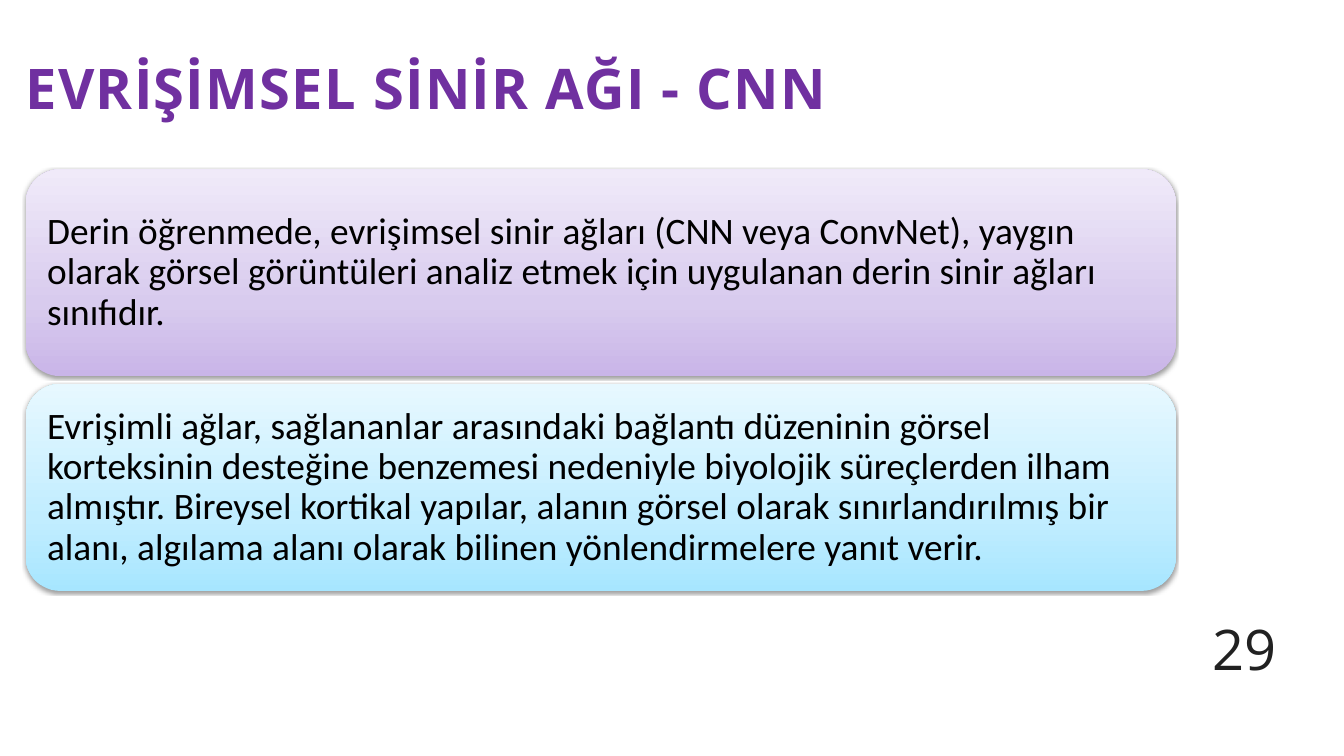
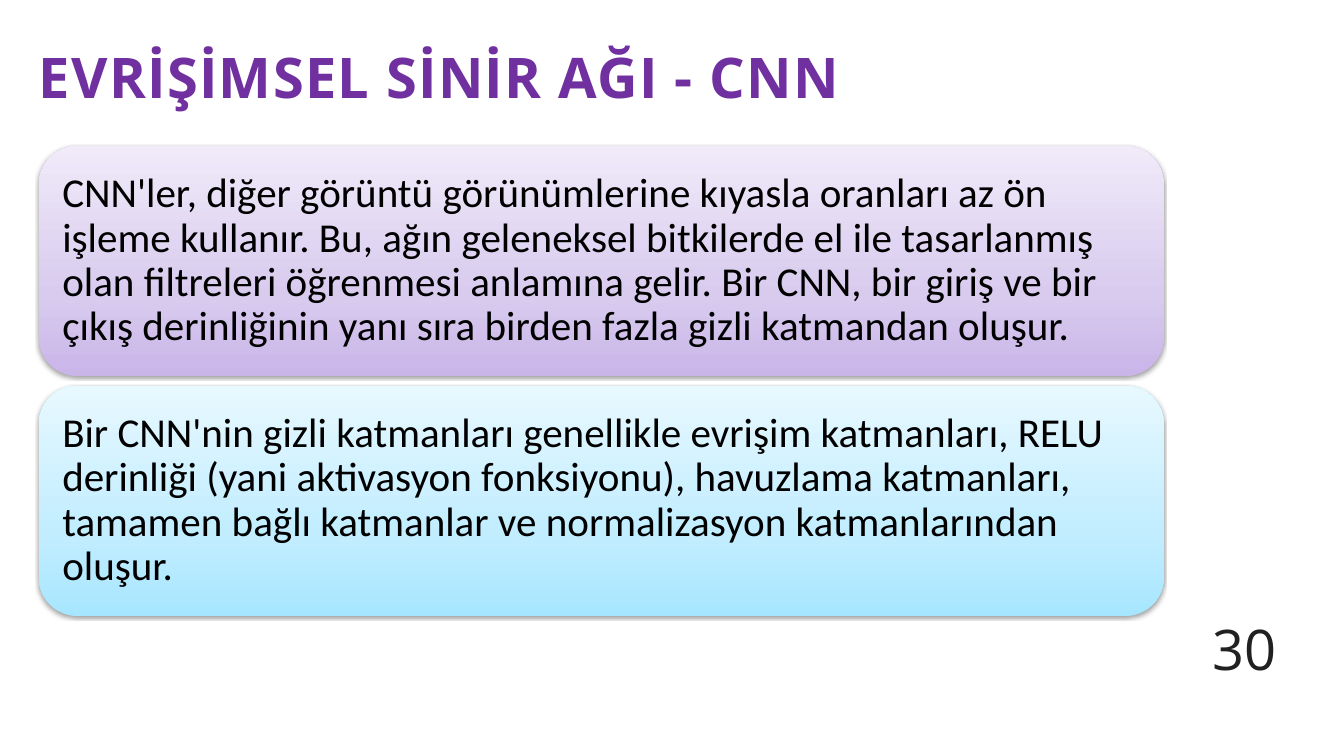
from copy import deepcopy

from lxml import etree
from pptx import Presentation
from pptx.dml.color import RGBColor
from pptx.enum.shapes import MSO_SHAPE
from pptx.enum.text import MSO_ANCHOR, MSO_AUTO_SIZE, PP_ALIGN
from pptx.oxml.ns import qn
from pptx.util import Cm, Pt

ROUND = MSO_SHAPE.ROUNDED_RECTANGLE
TOP, MIDDLE = MSO_ANCHOR.TOP, MSO_ANCHOR.MIDDLE
LEFT = PP_ALIGN.LEFT
FIXED = MSO_AUTO_SIZE.NONE

COLORS = {
    "title": "7030A0",
    "number": "212121",
    "text": "000000",
    "shadow": "000000",
}
FADES = [
    ["C9B5E8", "D8CBEE", "F0EAF9"],
    ["A7E6FF", "C1EDFF", "E7F8FF"],
]
STOPS = [0, 0.35, 1]
SIDES = ("margin_left", "margin_top", "margin_right", "margin_bottom")
TITLE_FONT = {"name": "Open Sans", "size": Pt(60), "bold": True}
NUMBER_FONT = {"name": "Open Sans", "size": Pt(60), "bold": False}
CARD_FONT = {"name": "Calibri", "bold": False}
TITLE = "EVRİŞİMSEL SİNİR AĞI - CNN"
NUMBER_BOX = (45.57, 24.08, 4.65, 2.01)

SLIDES = [
    {
        "number": "29",
        "title_box": (0.97, 2.01, 34.49, 2.59),
        "cards_box": (0.97, 6.4, 43.48, 15.94),
        "gap": 0.3,
        "inset": 0.43,
        "size": 40,
        "cards": [
            "Derin öğrenmede, evrişimsel sinir ağları (CNN veya ConvNet), yaygın "
            "olarak görsel görüntüleri analiz etmek için uygulanan derin sinir "
            "ağları sınıfıdır.",
            "Evrişimli ağlar, sağlananlar arasındaki bağlantı düzeninin görsel "
            "korteksinin desteğine benzemesi nedeniyle biyolojik süreçlerden ilham "
            "almıştır. Bireysel kortikal yapılar, alanın görsel olarak "
            "sınırlandırılmış bir alanı, algılama alanı olarak bilinen "
            "yönlendirmelere yanıt verir.",
        ],
    },
    {
        "number": "30",
        "title_box": (1.47, 1.57, 32.16, 2.59),
        "cards_box": (1.47, 5.51, 42.52, 17.78),
        "gap": 0.36,
        "inset": 0.46,
        "size": 44,
        "cards": [
            "CNN'ler, diğer görüntü görünümlerine kıyasla oranları az ön işleme "
            "kullanır. Bu, ağın geleneksel bitkilerde el ile tasarlanmış olan "
            "filtreleri öğrenmesi anlamına gelir. Bir CNN, bir giriş ve bir çıkış "
            "derinliğinin yanı sıra birden fazla gizli katmandan oluşur.",
            "Bir CNN'nin gizli katmanları genellikle evrişim katmanları, RELU "
            "derinliği (yani aktivasyon fonksiyonu), havuzlama katmanları, tamamen "
            "bağlı katmanlar ve normalizasyon katmanlarından oluşur.",
        ],
    },
]


def apply(item, values):
    for name, value in values.items():
        setattr(item, name, value)


def place(box):
    return [Cm(side) for side in box]


def write(shape, text, font, color, space, inset=None, anchor=TOP):
    frame = shape.text_frame
    apply(frame, {"word_wrap": True, "auto_size": FIXED, "vertical_anchor": anchor})
    if inset is not None:
        apply(frame, dict.fromkeys(SIDES, Cm(inset)))
    line = frame.paragraphs[0]
    apply(line, {"alignment": LEFT, "line_spacing": space})
    run = line.add_run()
    run.text = text
    apply(run.font, font)
    run.font.color.rgb = RGBColor.from_string(COLORS[color])
    return run


def add_title(slide, box):
    title = slide.shapes.title
    apply(title, dict(zip(("left", "top", "width", "height"), place(box))))
    run = write(title, TITLE, TITLE_FONT, "title", Pt(72.6), 0)
    run.font._element.set("spc", "140")


def add_fade(shape, fade):
    fill = shape.fill
    fill.gradient()
    fill.gradient_angle = 90
    stops = shape._element.spPr.find(".//" + qn("a:gsLst"))
    stops.insert(1, deepcopy(stops[0]))
    for stop, color, spot in zip(fill.gradient_stops, fade, STOPS):
        apply(stop, {"position": spot})
        stop.color.rgb = RGBColor.from_string(color)


def add_shade(shape):
    shape.shadow.inherit = False
    effects = shape._element.spPr.find(qn("a:effectLst"))
    shade = etree.SubElement(
        effects, qn("a:outerShdw"), blurRad=str(Pt(3.1)), dist=str(Pt(1.6)),
        dir="5400000", rotWithShape="0",
    )
    color = etree.SubElement(shade, qn("a:srgbClr"), val=COLORS["shadow"])
    etree.SubElement(color, qn("a:alpha"), val="38000")


def add_cards(slide, box, data):
    left, top, width, height = box
    cards, gap = data["cards"], data["gap"]
    tall = (height - gap * (len(cards) - 1)) / len(cards)
    font = {**CARD_FONT, "size": Pt(data["size"])}
    for row, (text, fade) in enumerate(zip(cards, FADES)):
        spot = place((left, top + row * (tall + gap), width, tall))
        card = slide.shapes.add_shape(ROUND, *spot)
        add_fade(card, fade)
        card.line.fill.background()
        add_shade(card)
        write(card, text, font, "text", 0.9, data["inset"], MIDDLE)


def add_number(slide, box, number):
    label = slide.shapes.add_textbox(*place(box))
    write(label, number, NUMBER_FONT, "number", Pt(44.8))


def main():
    deck = Presentation()
    apply(deck, {"slide_width": Cm(50.8), "slide_height": Cm(28.58)})
    for data in SLIDES:
        slide = deck.slides.add_slide(deck.slide_layouts[5])
        add_title(slide, data["title_box"])
        add_cards(slide, data["cards_box"], data)
        add_number(slide, NUMBER_BOX, data["number"])
    deck.save("out.pptx")


if __name__ == "__main__":
    main()
